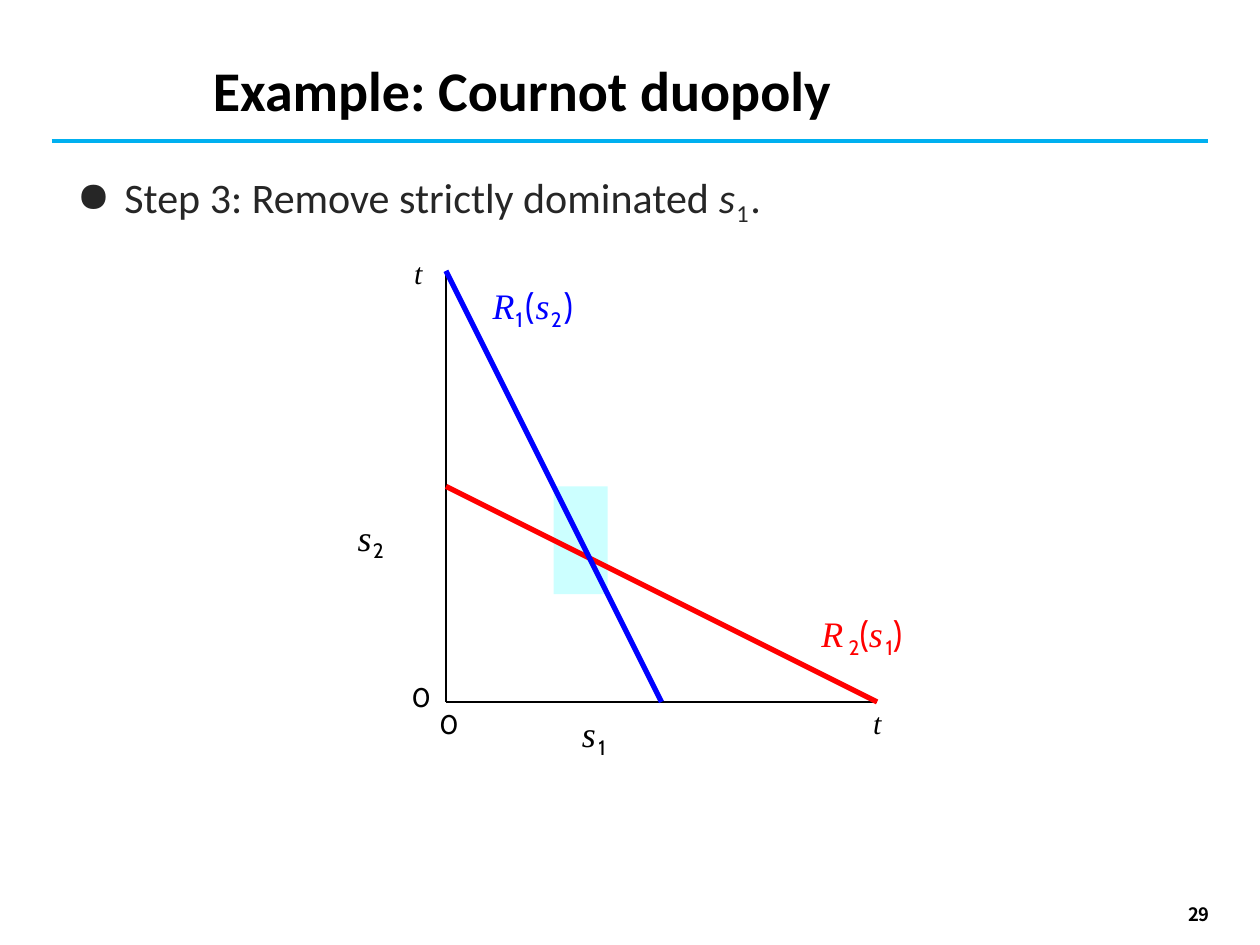
"""Build the Cournot duopoly slide showing step 3 of the elimination of dominated strategies."""
import dataclasses

import pptx
import pptx.dml.color
import pptx.enum.shapes
import pptx.enum.text
import pptx.oxml
import pptx.oxml.ns
import pptx.util

Cm = pptx.util.Cm
Pt = pptx.util.Pt


@dataclasses.dataclass(frozen=True)
class Theme:
    black: str = "000000"
    body: str = "262626"
    rule: str = "00B0F0"
    first: str = "0000FF"
    second: str = "FF0000"
    region: str = "CCFFFF"
    sans: str = "Calibri"
    math: str = "Times New Roman"
    digits: str = "Cabin"
    number: str = "Noto Sans CJK KR"
    title_size: float = 32
    body_size: float = 24
    label_size: float = 20.5
    end_size: float = 17.1
    zero_size: float = 15.4
    number_size: float = 10.5


THEME = Theme()
ORIGIN_X, ORIGIN_Y, AXIS = 8.99, 14.15, 8.69


def plot_x(share):
    return Cm(ORIGIN_X + share * AXIS)


def plot_y(share):
    return Cm(ORIGIN_Y - share * AXIS)


def rgb(color):
    return pptx.dml.color.RGBColor.from_string(color)


def add_span(para, text, font, size, color, bold=False, italic=False, low=False, gap=0):
    span = para.add_run()
    span.text = text
    span.font.name = font
    span.font.size = Pt(size)
    span.font.bold = bold
    span.font.italic = italic
    span.font.color.rgb = rgb(color)
    properties = span.font._element
    if low:
        properties.set("baseline", "-21000")
    if gap:
        properties.set("spc", str(round(gap * 100)))


def set_frame(frame, inset=0.0, wrap=True):
    frame.word_wrap = wrap
    frame.auto_size = pptx.enum.text.MSO_AUTO_SIZE.NONE
    frame.vertical_anchor = pptx.enum.text.MSO_ANCHOR.TOP
    frame.margin_left = frame.margin_right = Cm(inset)
    frame.margin_top = frame.margin_bottom = Cm(inset / 2)


def add_box(page, left, top, width, height, inset=0.0, wrap=True):
    box = page.shapes.add_textbox(Cm(left), Cm(top), Cm(width), Cm(height))
    set_frame(box.text_frame, inset, wrap)
    return box.text_frame


def add_title(page, text):
    title = page.shapes.title
    title.left, title.top, title.width, title.height = Cm(4.29), Cm(1.12), Cm(19.81), Cm(1.5)
    set_frame(title.text_frame)
    para = title.text_frame.paragraphs[0]
    para.alignment = pptx.enum.text.PP_ALIGN.LEFT
    add_span(para, text, THEME.sans, THEME.title_size, THEME.black, bold=True)


def add_step(page):
    para = add_box(page, 1.3, 3.33, 22.73, 1.5, inset=0.25).paragraphs[0]
    properties = para._p.get_or_add_pPr()
    properties.set("marL", str(Cm(0.96)))
    properties.set("indent", str(Cm(-0.96)))
    bullet = pptx.oxml.parse_xml(f'<a:buChar {pptx.oxml.ns.nsdecls("a")} char="●"/>')
    properties.append(bullet)
    style = (THEME.sans, THEME.body_size, THEME.body)
    add_span(para, "Step 3: Remove strictly dominated ", *style)
    add_span(para, "s", *style, italic=True, gap=0.7)
    add_span(para, "1", *style, low=True, gap=1)
    add_span(para, ".", *style, gap=0.7)


def add_line(page, start, end, color, weight):
    line = page.shapes.add_connector(pptx.enum.shapes.MSO_CONNECTOR.STRAIGHT, *start, *end)
    line.line.color.rgb = rgb(color)
    line.line.width = Pt(weight)
    effects = pptx.oxml.parse_xml(f'<a:effectLst {pptx.oxml.ns.nsdecls("a")}/>')
    line._element.spPr.append(effects)


def add_plot_line(page, start, end, color, weight):
    points = [(plot_x(x), plot_y(y)) for x, y in (start, end)]
    add_line(page, *points, color, weight)


def add_region(page, left, right, bottom, top):
    region = page.shapes.add_shape(
        pptx.enum.shapes.MSO_SHAPE.RECTANGLE, plot_x(left), plot_y(top),
        plot_x(right) - plot_x(left), plot_y(bottom) - plot_y(top))
    region.shadow.inherit = False
    region.fill.solid()
    region.fill.fore_color.rgb = rgb(THEME.region)
    region.line.fill.background()


def add_formula(page, left, top, width, color, parts, size=THEME.label_size):
    """Write (text, gap) parts: letters in math italics, digits lowered, brackets upright."""
    para = add_box(page, left, top, width, 0.89, wrap=False).paragraphs[0]
    for text, gap in parts:
        letter = text.isalpha()
        add_span(para, text, THEME.math if letter else THEME.digits, size, color,
                 italic=letter, low=text.isdigit(), gap=gap)


def add_zeros(page):
    frame = add_box(page, 8.3, 13.82, 0.9, 1.14)
    for para, indent in ((frame.paragraphs[0], 0), (frame.add_paragraph(), 0.56)):
        para._p.get_or_add_pPr().set("marL", str(Cm(indent)))
        para.line_spacing = Pt(15.6)
        add_span(para, "0", THEME.digits, THEME.zero_size, THEME.black)


def add_page_number(page, text):
    frame = add_box(page, 23.7, 18.14, 1.7, 0.58, inset=0.25)
    frame.vertical_anchor = pptx.enum.text.MSO_ANCHOR.MIDDLE
    add_span(frame.paragraphs[0], text, THEME.number, THEME.number_size, THEME.black, bold=True)


def add_plot(page):
    add_region(page, 1 / 4, 3 / 8, 1 / 4, 1 / 2)
    add_plot_line(page, (0, 1), (0, 0), THEME.black, 1.5)
    add_plot_line(page, (0, 0), (1, 0), THEME.black, 1.5)
    add_plot_line(page, (0, 1 / 2), (1, 0), THEME.second, 3)
    add_plot_line(page, (0, 1), (1 / 2, 0), THEME.first, 3)
    add_zeros(page)
    add_formula(page, 11.73, 14.35, 0.66, THEME.black, [("s", 1.5), ("1", 0)])
    add_formula(page, 7.21, 10.39, 0.66, THEME.black, [("s", 0.8), ("2", 1.1)])
    add_formula(page, 9.93, 5.72, 1.98, THEME.first,
                [("R", 0.7), ("1", 1.1), ("(", 0.7), ("s", 0.7), ("2", 1.1), (")", 0.7)])
    add_formula(page, 16.56, 12.34, 1.98, THEME.second,
                [("R", 3), ("2", 0), ("(", 0), ("s", 1.5), ("1", 0), (")", 0)])
    for left, top in ((8.35, 5.13), (17.6, 14.2)):
        add_formula(page, left, top, 0.28, THEME.black, [("t", 1.4)], THEME.end_size)


def main():
    deck = pptx.Presentation()
    deck.slide_width, deck.slide_height = Cm(25.4), Cm(19.05)
    page = deck.slides.add_slide(deck.slide_layouts[5])
    add_title(page, "Example: Cournot duopoly")
    add_line(page, (Cm(1.04), Cm(2.84)), (Cm(24.36), Cm(2.84)), THEME.rule, 2.25)
    add_step(page)
    add_plot(page)
    add_page_number(page, "29")
    deck.save("out.pptx")


if __name__ == "__main__":
    main()
